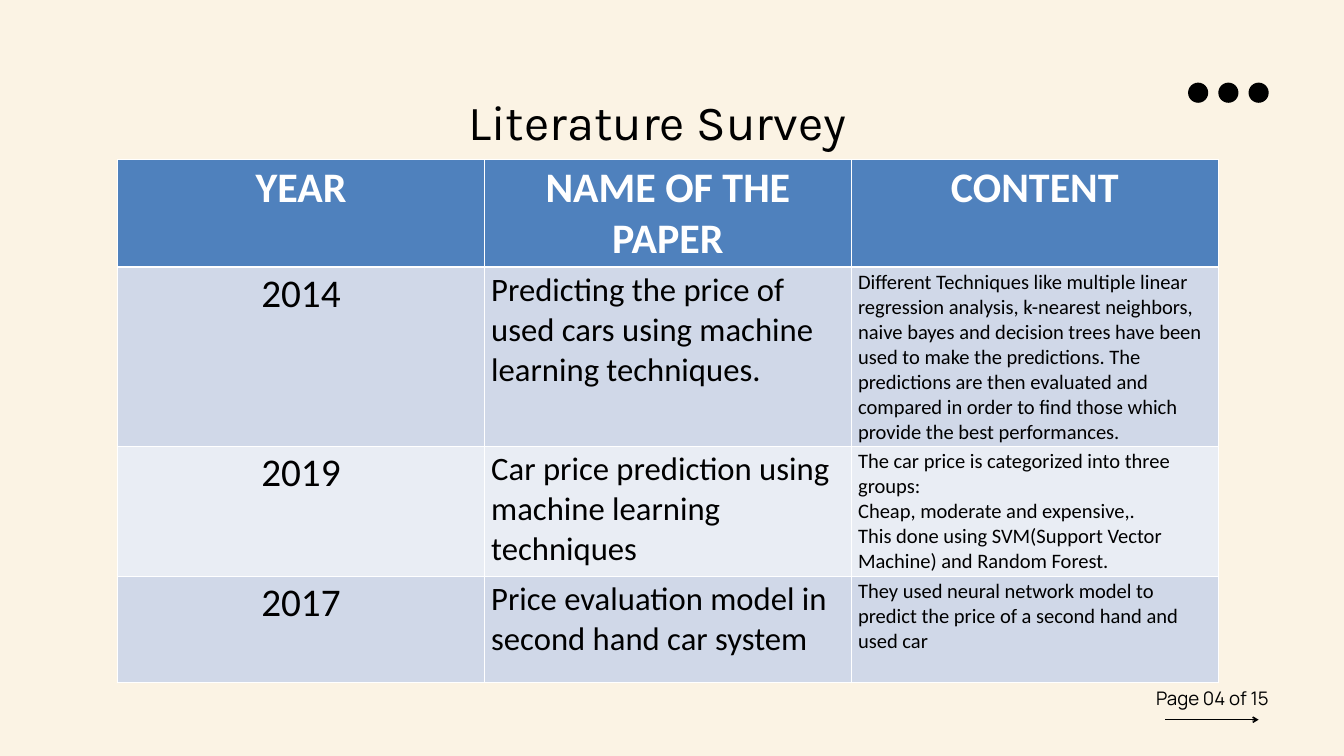
"""Build the literature survey slide with its table, dots and page marker."""
import pptx
import pptx.dml.color
import pptx.enum.shapes
import pptx.enum.text
import pptx.oxml
import pptx.oxml.ns
import pptx.util
from lxml import etree

Inches = pptx.util.Inches
Pt = pptx.util.Pt
ALIGN = pptx.enum.text.PP_ALIGN

BACKGROUND, BLACK, WHITE = "FBF3E4", "000000", "FFFFFF"
HEADER_FILL, BAND_FILLS = "4F81BD", ("D0D8E8", "E9EDF4")

HEADERS = ("YEAR", "NAME OF THE PAPER", "CONTENT")
PAPERS = [
    ("2014",
     "Predicting the price of used cars using machine learning techniques.",
     "Different Techniques like multiple linear regression analysis, k-nearest "
     "neighbors, naive bayes and decision trees have been used to make the "
     "predictions. The predictions are then evaluated and compared in order to "
     "find those which provide the best performances."),
    ("2019",
     "Car price prediction using machine learning techniques",
     "The car price is categorized into three groups:\n"
     "Cheap, moderate and expensive,.\n"
     "This done using SVM(Support Vector Machine) and Random Forest."),
    ("2017",
     "Price evaluation model in second hand car system",
     "They used neural network model to predict the price of a second hand and "
     "used car"),
]
BODY_STYLES = ((42, ALIGN.CENTER), (35, ALIGN.LEFT), (22, ALIGN.LEFT))
TEXTS = [
    ("Page 04 of 15", (16.71, 10.17, 2.17, 0.39), "Manrope", 20, 28, ALIGN.RIGHT),
    ("Literature Survey", (0.98, 1.21, 17.6, 0.98), "Karla", 52.5, 73.5, ALIGN.CENTER),
]
TABLE_LEFT, TABLE_TOP, COLUMN_WIDTH, ROW_HEIGHT = 1.75, 2.37, 5.46, 1.58
DOT_LEFT, DOT_TOP, DOT_SIZE, DOT_STEP, DOT_COUNT = 17.68, 1.23, 0.3, 0.45, 3


def color(value):
    return pptx.dml.color.RGBColor.from_string(value)


def format_text(text_frame, font, size, fill, alignment, bold=False, spacing=None):
    for paragraph in text_frame.paragraphs:
        paragraph.alignment = alignment
        paragraph.line_spacing = spacing
        for run in paragraph.runs:
            run.font.name = font
            run.font.size = Pt(size)
            run.font.bold = bold
            run.font.color.rgb = color(fill)


def add_text(slide, text, box, font, size, spacing, alignment):
    text_frame = slide.shapes.add_textbox(*map(Inches, box)).text_frame
    text_frame.word_wrap = True
    text_frame.margin_left = text_frame.margin_right = 0
    text_frame.margin_top = text_frame.margin_bottom = 0
    text_frame.text = text
    format_text(text_frame, font, size, BLACK, alignment, spacing=Pt(spacing))


def set_borders(cell, bottom_width):
    properties = cell._tc.get_or_add_tcPr()
    for side, width in (("L", 1), ("R", 1), ("T", 1), ("B", bottom_width)):
        properties.append(pptx.oxml.parse_xml(
            f'<a:ln{side} {pptx.oxml.ns.nsdecls("a")} w="{Pt(width)}">'
            f'<a:solidFill><a:srgbClr val="{WHITE}"/></a:solidFill></a:ln{side}>'))


def add_papers_table(slide):
    rows = [HEADERS, *PAPERS]
    table = slide.shapes.add_table(
        len(rows), len(HEADERS), Inches(TABLE_LEFT), Inches(TABLE_TOP),
        Inches(COLUMN_WIDTH * len(HEADERS)), Inches(ROW_HEIGHT * len(rows))).table
    for row_index, texts in enumerate(rows):
        is_header = row_index == 0
        fill = HEADER_FILL if is_header else BAND_FILLS[(row_index - 1) % 2]
        for column_index, text in enumerate(texts):
            cell = table.cell(row_index, column_index)
            set_borders(cell, 3 if is_header else 1)
            cell.fill.solid()
            cell.fill.fore_color.rgb = color(fill)
            cell.text_frame.text = text
            size, alignment = (45, ALIGN.CENTER) if is_header else BODY_STYLES[column_index]
            format_text(cell.text_frame, "Calibri", size,
                        WHITE if is_header else BLACK, alignment, is_header)


def add_dots(slide):
    for index in range(DOT_COUNT):
        dot = slide.shapes.add_shape(
            pptx.enum.shapes.MSO_SHAPE.OVAL, Inches(DOT_LEFT + index * DOT_STEP),
            Inches(DOT_TOP), Inches(DOT_SIZE), Inches(DOT_SIZE))
        dot.shadow.inherit = False
        dot.fill.solid()
        dot.fill.fore_color.rgb = color(BLACK)
        dot.line.fill.background()


def add_arrow(slide, left, right, top):
    arrow = slide.shapes.add_connector(
        pptx.enum.shapes.MSO_CONNECTOR.STRAIGHT,
        Inches(left), Inches(top), Inches(right), Inches(top))
    arrow.line.width = Pt(1.5)
    arrow.line.color.rgb = color(BLACK)
    qualified = pptx.oxml.ns.qn
    etree.SubElement(arrow.line._get_or_add_ln(), qualified("a:tailEnd"), type="arrow")
    etree.SubElement(arrow._element.spPr, qualified("a:effectLst"))


def main():
    presentation = pptx.Presentation()
    presentation.slide_width, presentation.slide_height = Inches(20), Inches(11.25)
    slide = presentation.slides.add_slide(presentation.slide_layouts[6])
    slide.background.fill.solid()
    slide.background.fill.fore_color.rgb = color(BACKGROUND)
    add_dots(slide)
    for text in TEXTS:
        add_text(slide, *text)
    add_arrow(slide, 17.34, 18.73, 10.71)
    add_papers_table(slide)
    presentation.save("out.pptx")


if __name__ == "__main__":
    main()
